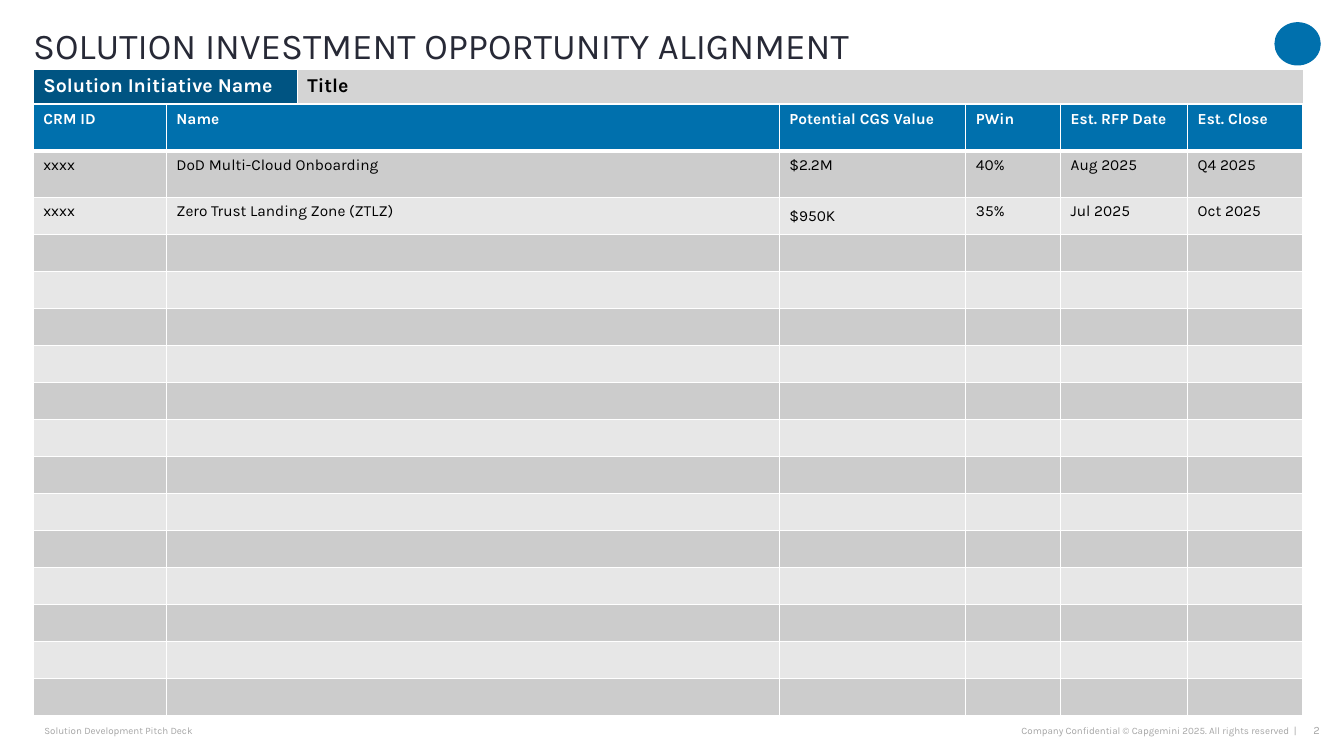
from lxml import etree
from pptx import Presentation
from pptx import util as u
from pptx.dml.color import RGBColor
from pptx.enum import shapes, text
from pptx.oxml import ns

FONT = "Karla"
WHITE = RGBColor(0xFF, 0xFF, 0xFF)
BLACK = RGBColor(0, 0, 0)
INK = RGBColor(0x27, 0x29, 0x36)
FOOTER_GREY = RGBColor(0xA6, 0xA6, 0xA6)
BLUE = RGBColor(0x00, 0x70, 0xAD)
DARK_BLUE = RGBColor(0x00, 0x54, 0x82)
TITLE_GREY = RGBColor(0xD4, 0xD4, 0xD4)
BANDS = (RGBColor(0xCC, 0xCC, 0xCC), RGBColor(0xE7, 0xE7, 0xE7))

LEFT = 0.33
COLUMNS = (1.32, 6.08, 1.85, 0.94, 1.26, 1.14)
HEADINGS = ("CRM ID", "Name", "Potential CGS Value", "PWin",
            "Est. RFP Date", "Est. Close")
OPPORTUNITIES = (
    ("xxxx", "DoD Multi-Cloud Onboarding", "$2.2M", "40%", "Aug 2025", "Q4 2025"),
    ("xxxx", "Zero Trust Landing Zone (ZTLZ)", "$950K", "35%", "Jul 2025", "Oct 2025"),
)
EMPTY_ROWS = 13
TALL_ROW = 0.46
SHORT_ROW = 5.14 / (EMPTY_ROWS + 1)


class SlideBuilder:
    def __init__(self, slide):
        self.slide = slide

    def add_run(self, paragraph, words, size, color, bold=False):
        run = paragraph.add_run()
        run.text = words
        run.font.name = FONT
        run.font.size = u.Pt(size)
        run.font.bold = bold
        run.font.color.rgb = color

    def text_box(self, box, words, size, color, align=text.PP_ALIGN.LEFT,
                 anchor=text.MSO_ANCHOR.MIDDLE, inset=0, spacing=None):
        shape = self.slide.shapes.add_textbox(*map(u.Inches, box))
        frame = shape.text_frame
        frame.word_wrap = True
        frame.vertical_anchor = anchor
        frame.margin_left = frame.margin_right = 0
        frame.margin_top = frame.margin_bottom = u.Inches(inset)
        paragraph = frame.paragraphs[0]
        paragraph.alignment = align
        paragraph.line_spacing = spacing
        self.add_run(paragraph, words, size, color)

    def oval(self, box, color):
        shape = self.slide.shapes.add_shape(shapes.MSO_SHAPE.OVAL, *map(u.Inches, box))
        shape.shadow.inherit = False
        shape.fill.solid()
        shape.fill.fore_color.rgb = color
        shape.line.fill.background()

    def table(self, top, columns, rows):
        frame = self.slide.shapes.add_table(
            len(rows), len(columns), u.Inches(LEFT), u.Inches(top),
            u.Inches(sum(columns)), u.Inches(sum(rows)))
        table = frame.table
        for column, width in zip(table.columns, columns):
            column.width = u.Inches(width)
        for row, height in zip(table.rows, rows):
            row.height = u.Inches(height)
        return table

    def cell(self, cell, words, size, fill, color=BLACK, bold=False,
             top_line=1, bottom_line=1):
        widths = {"a:lnL": 1, "a:lnR": 1, "a:lnT": top_line, "a:lnB": bottom_line}
        properties = cell._tc.get_or_add_tcPr()
        for tag, width in widths.items():
            line = etree.SubElement(properties, ns.qn(tag), w=str(u.Pt(width)))
            solid = etree.SubElement(line, ns.qn("a:solidFill"))
            etree.SubElement(solid, ns.qn("a:srgbClr"), val=str(WHITE))
        cell.fill.solid()
        cell.fill.fore_color.rgb = fill
        paragraph = cell.text_frame.paragraphs[0]
        if words:
            self.add_run(paragraph, words, size, color, bold)
        else:
            # Keep empty rows from growing to the default text size
            etree.SubElement(paragraph._p, ns.qn("a:endParaRPr"), sz=str(size * 100))


def main():
    presentation = Presentation()
    presentation.slide_width = u.Inches(13.33)
    presentation.slide_height = u.Inches(7.5)
    builder = SlideBuilder(presentation.slides.add_slide(presentation.slide_layouts[6]))

    # Corner mark and footer
    builder.oval((12.64, 0.22, 0.46, 0.43), BLUE)
    builder.text_box((0.44, 7.13, 3.73, 0.24), "Solution Development Pitch Deck",
                     7, FOOTER_GREY)
    builder.text_box((7.9, 7.13, 4.96, 0.24),
                     "Company Confidential © Capgemini 2025. All rights reserved  |",
                     7, FOOTER_GREY, text.PP_ALIGN.RIGHT)
    builder.text_box((12.84, 7.13, 0.25, 0.24), "2", 8, FOOTER_GREY,
                     text.PP_ALIGN.RIGHT, text.MSO_ANCHOR.TOP, inset=0.05)

    # Title
    builder.text_box((LEFT, 0.17, 12.17, 0.5), "SOLUTION INVESTMENT OPPORTUNITY ALIGNMENT",
                     26, INK, anchor=text.MSO_ANCHOR.BOTTOM, spacing=0.9)

    # Initiative name bar
    initiative = builder.table(0.69, (2.62, 9.98), (0.33,))
    builder.cell(initiative.cell(0, 0), "Solution Initiative Name", 14, DARK_BLUE,
                 WHITE, bold=True)
    builder.cell(initiative.cell(0, 1), "Title", 14, TITLE_GREY, bold=True)

    # Opportunity table
    heights = (TALL_ROW, TALL_ROW) + (SHORT_ROW,) * (EMPTY_ROWS + 1)
    opportunities = builder.table(1.04, COLUMNS, heights)
    for column, heading in enumerate(HEADINGS):
        builder.cell(opportunities.cell(0, column), heading, 11, BLUE, WHITE,
                     bold=True, bottom_line=3)
    body = OPPORTUNITIES + (("",) * len(COLUMNS),) * EMPTY_ROWS
    for row, values in enumerate(body, start=1):
        for column, value in enumerate(values):
            builder.cell(opportunities.cell(row, column), value, 11,
                         BANDS[(row - 1) % 2], top_line=3 if row == 1 else 1)
    opportunities.cell(2, 2).vertical_anchor = text.MSO_ANCHOR.MIDDLE

    presentation.save("out.pptx")


if __name__ == "__main__":
    main()
